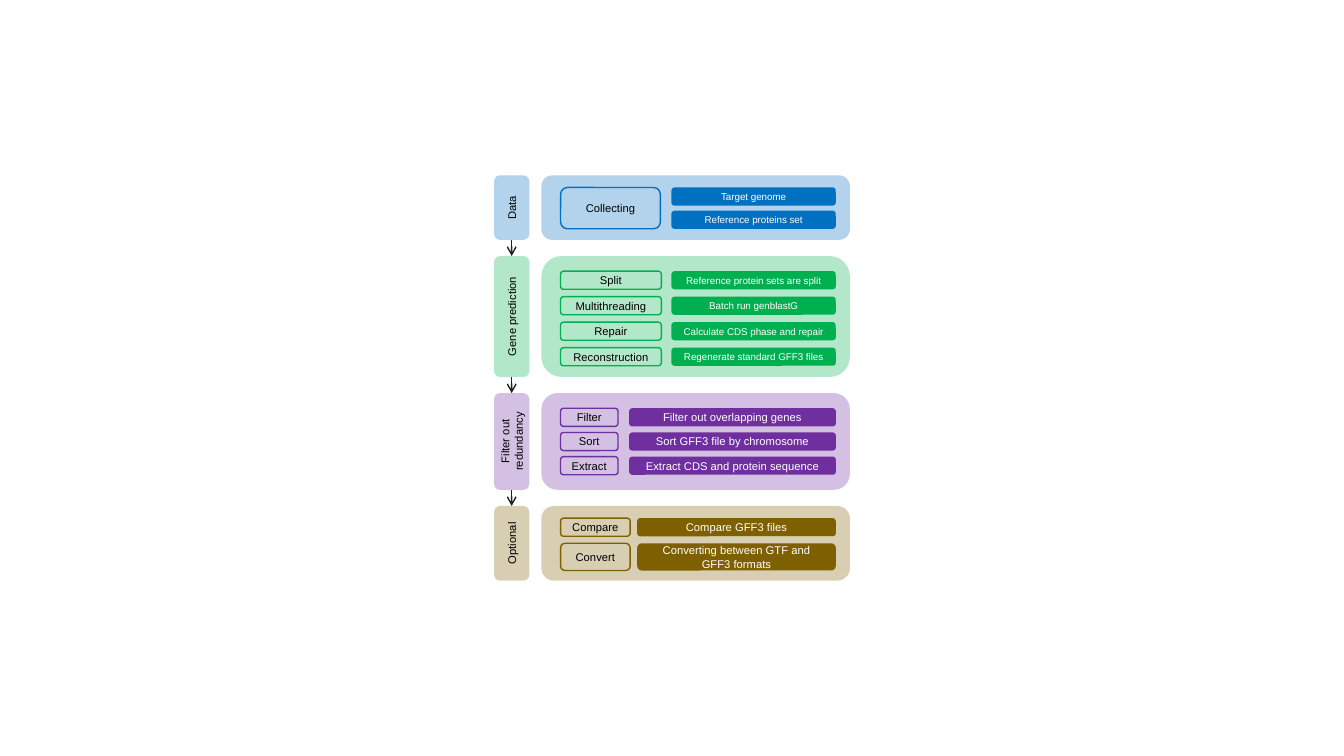
from dataclasses import dataclass

from lxml.etree import SubElement
from pptx import Presentation
from pptx.dml.color import RGBColor
from pptx.enum.shapes import MSO_CONNECTOR, MSO_SHAPE
from pptx.enum.text import MSO_ANCHOR, PP_ALIGN
from pptx.oxml.ns import qn
from pptx.util import Inches, Pt

COLORS = {
    "blue": "0070C0", "pale blue": "B2D3EB",
    "green": "00B050", "pale green": "B2E7CA",
    "purple": "6F2F9F", "pale purple": "D3C0E2",
    "brown": "7F6000", "pale brown": "D8CEB2",
    "white": "FFFFFF", "black": "000000", "arrow": "202020",
}
TAB_LEFT, TAB_WIDTH = 4.9, 0.35
PANEL_LEFT, PANEL_WIDTH = 5.37, 3.06
STEP_LEFT, DETAIL_RIGHT = 5.56, 8.29
ROW_HEIGHT = 0.18


@dataclass
class Stage:
    title: str
    hue: str
    top: float
    height: float
    first_row: float
    pitch: float
    step_width: float
    detail_left: float
    detail_size: int
    steps: list  # (text, height)
    details: list  # (text, height)


def rows(*texts):
    return [(text, ROW_HEIGHT) for text in texts]


STAGES = [
    Stage("Data", "blue", 1.74, 0.64, 1.86, 0.23, 0.99, 6.66, 7,
          [("Collecting", 0.41)],
          rows("Target genome", "Reference proteins set")),
    Stage("Gene prediction", "green", 2.54, 1.2, 2.69, 0.253, 1, 6.66, 7,
          rows("Split", "Multithreading", "Repair", "Reconstruction"),
          rows("Reference protein sets are split", "Batch run genblastG",
               "Calculate CDS phase and repair", "Regenerate standard GFF3 files")),
    Stage("Filter out redundancy", "purple", 3.9, 0.96, 4.05, 0.24, 0.57, 6.24, 8,
          rows("Filter", "Sort", "Extract"),
          rows("Filter out overlapping genes", "Sort GFF3 file by chromosome",
               "Extract CDS and protein sequence")),
    Stage("Optional", "brown", 5.02, 0.74, 5.14, 0.25, 0.69, 6.32, 8,
          rows("Compare") + [("Convert", 0.27)],
          rows("Compare GFF3 files")
          + [("Converting between GTF and GFF3 formats", 0.27)]),
]


def rgb(name):
    return RGBColor.from_string(COLORS[name])


def add_box(slide, left, top, width, height, fill=None, line=None):
    box = slide.shapes.add_shape(MSO_SHAPE.ROUNDED_RECTANGLE, Inches(left),
                                 Inches(top), Inches(width), Inches(height))
    box.shadow.inherit = False
    if fill:
        box.fill.solid()
        box.fill.fore_color.rgb = rgb(fill)
    else:
        box.fill.background()
    if line:
        box.line.color.rgb = rgb(line)
        box.line.width = Pt(1)
    else:
        box.line.fill.background()
    return box


def write(box, text, size, color="black", side_margin=0.02):
    frame = box.text_frame
    frame.word_wrap = True
    frame.vertical_anchor = MSO_ANCHOR.MIDDLE
    frame.margin_left = frame.margin_right = Inches(side_margin)
    frame.margin_top = frame.margin_bottom = 0
    paragraph = frame.paragraphs[0]
    paragraph.text = text
    paragraph.alignment = PP_ALIGN.CENTER
    paragraph.font.name = "Arial"
    paragraph.font.size = Pt(size)
    paragraph.font.color.rgb = rgb(color)


def add_stage(slide, stage):
    pale = "pale " + stage.hue
    add_box(slide, PANEL_LEFT, stage.top, PANEL_WIDTH, stage.height, fill=pale)

    tab = add_box(slide, TAB_LEFT, stage.top, TAB_WIDTH, stage.height, fill=pale)
    write(tab, stage.title, 8)
    tab.text_frame._txBody.bodyPr.set("vert", "vert270")

    for row, (text, height) in enumerate(stage.steps):
        step = add_box(slide, STEP_LEFT, stage.first_row + row * stage.pitch,
                       stage.step_width, height, line=stage.hue)
        write(step, text, 8)
    for row, (text, height) in enumerate(stage.details):
        detail = add_box(slide, stage.detail_left, stage.first_row + row * stage.pitch,
                         DETAIL_RIGHT - stage.detail_left, height, fill=stage.hue)
        write(detail, text, stage.detail_size, "white", side_margin=0.1)


def add_arrow(slide, upper, lower):
    """Link the tabs of two consecutive stages."""
    center = Inches(TAB_LEFT + TAB_WIDTH / 2)
    arrow = slide.shapes.add_connector(
        MSO_CONNECTOR.STRAIGHT, center, Inches(upper.top + upper.height),
        center, Inches(lower.top))
    arrow.line.color.rgb = rgb("arrow")
    arrow.line.width = Pt(1)
    SubElement(arrow.line._get_or_add_ln(), qn("a:tailEnd"), type="arrow")
    SubElement(arrow._element.spPr, qn("a:effectLst"))


def main():
    deck = Presentation()
    deck.slide_width, deck.slide_height = Inches(13.33), Inches(7.5)
    slide = deck.slides.add_slide(deck.slide_layouts[6])
    for stage in STAGES:
        add_stage(slide, stage)
    for upper, lower in zip(STAGES, STAGES[1:]):
        add_arrow(slide, upper, lower)
    deck.save("out.pptx")


if __name__ == "__main__":
    main()
